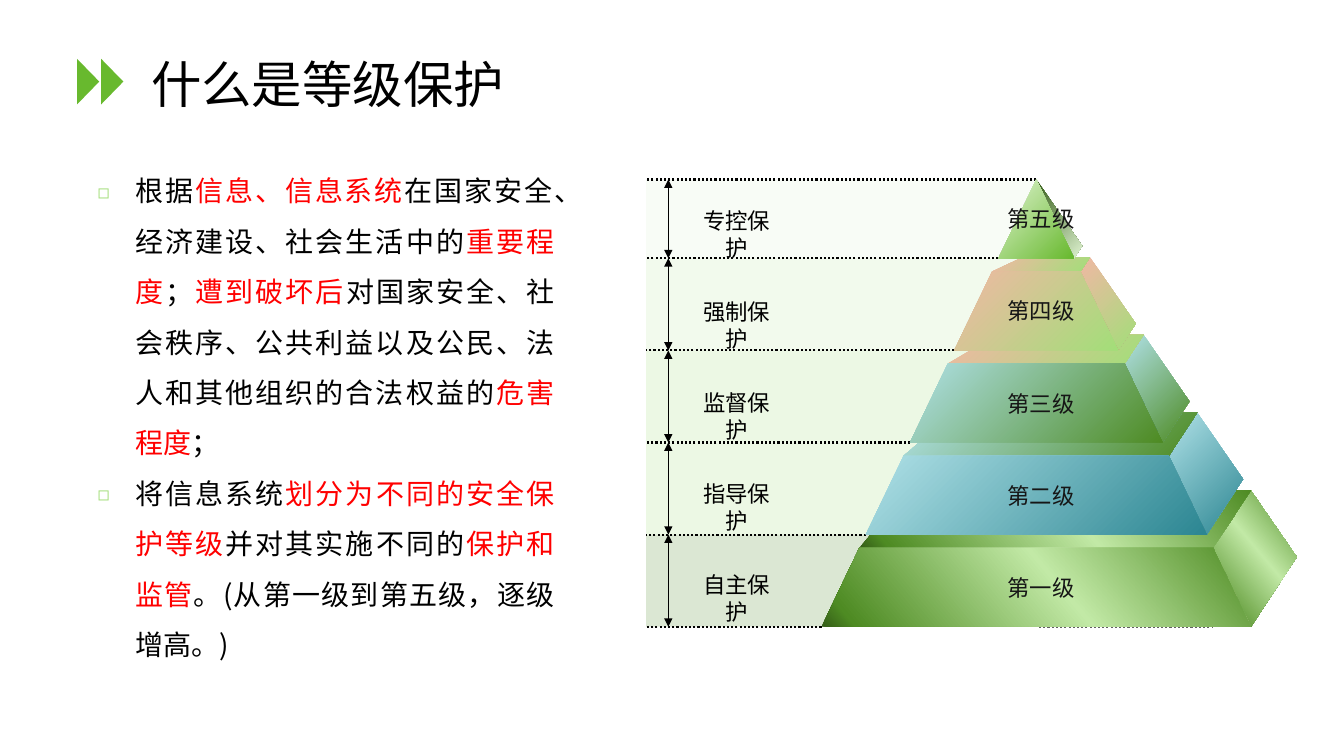
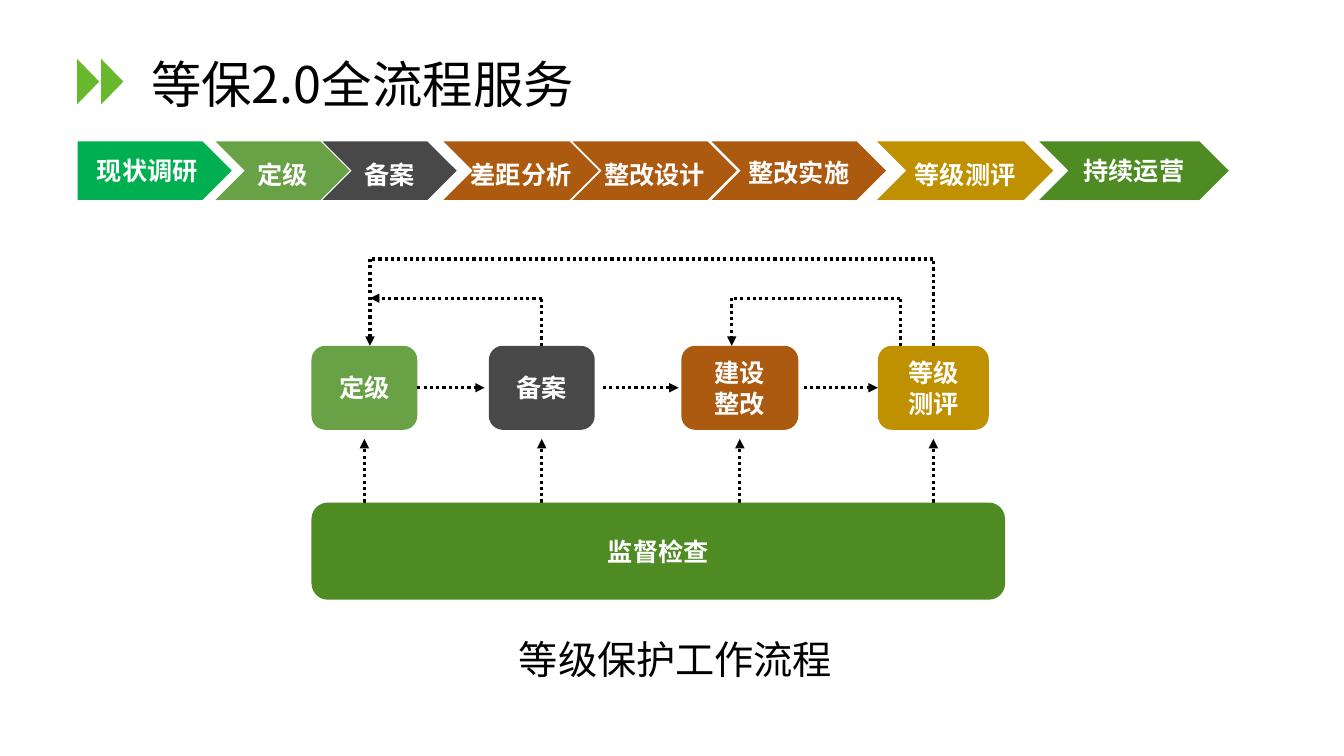
from dataclasses import dataclass
from itertools import pairwise

from lxml.etree import SubElement
from pptx import Presentation
from pptx.dml.color import RGBColor
from pptx.enum.dml import MSO_LINE
from pptx.enum.shapes import MSO_CONNECTOR, MSO_SHAPE
from pptx.enum.text import MSO_ANCHOR, PP_ALIGN
from pptx.oxml.ns import qn
from pptx.util import Pt


@dataclass(frozen=True)
class Theme:
    latin: str = "Arial"
    chinese: str = "Noto Sans CJK SC"
    black: str = "000000"
    white: str = "FFFFFF"
    ink: str = "161616"
    grey: str = "5F5F5F"
    red: str = "FF0000"
    accent: str = "68B92E"
    emerald: str = "00B050"
    leaf: str = "69A246"
    forest: str = "4E8B23"
    deep: str = "345C17"
    charcoal: str = "484848"
    brown: str = "AD5A11"
    gold: str = "BF9000"
    light: str = "A3DE79"
    pale: str = "C2E9A6"
    mist: str = "E0F4D2"
    sky: str = "B0E1E7"
    teal: str = "2C8692"
    peach: str = "F0B8A4"
    title_size: float = 36
    caption_size: float = 28
    body_size: float = 20
    step_size: float = 18
    label_size: float = 16


@dataclass(frozen=True)
class Box:
    left: float
    top: float
    width: float
    height: float

    def inside(self, left, top, width, height):
        return Box(self.left + left, self.top + top, width, height)

    def lengths(self):
        return Pt(self.left), Pt(self.top), Pt(self.width), Pt(self.height)


THEME = Theme()


def style_run(run, size, color, font=THEME.chinese, bold=False):
    run.font.size = Pt(size)
    run.font.bold = bold
    run.font.color.rgb = RGBColor.from_string(color)
    run.font.name = font
    SubElement(run._r.get_or_add_rPr(), qn("a:ea"), typeface=THEME.chinese)


def write(shape, text, size, color, font=THEME.chinese, bold=False,
          align=PP_ALIGN.CENTER, wrap=False, anchor=MSO_ANCHOR.MIDDLE):
    frame = shape.text_frame
    frame.text = text
    frame.word_wrap = wrap
    frame.vertical_anchor = anchor
    for paragraph in frame.paragraphs:
        paragraph.alignment = align
        for run in paragraph.runs:
            style_run(run, size, color, font, bold)
    return frame


def add_text(slide, box, text, size, color, **options):
    return write(slide.shapes.add_textbox(*box.lengths()), text, size, color, **options)


def add_block(slide, kind, box, color, alpha=None):
    shape = slide.shapes.add_shape(kind, *box.lengths())
    shape.shadow.inherit = False
    shape.line.fill.background()
    shape.fill.solid()
    shape.fill.fore_color.rgb = RGBColor.from_string(color)
    if alpha:
        color_element = shape._element.spPr.find(qn("a:solidFill"))[0]
        SubElement(color_element, qn("a:alpha"), val=str(alpha * 1000))
    return shape


def add_line(slide, start, end, width, color=THEME.black, dotted=True, arrows=()):
    """Draw a line; arrows lists the ends ("headEnd", "tailEnd") that carry a triangle."""
    line = slide.shapes.add_connector(
        MSO_CONNECTOR.STRAIGHT, *(Pt(value) for value in (*start, *end)))
    line.line.width = Pt(width)
    line.line.color.rgb = RGBColor.from_string(color)
    if dotted:
        line.line.dash_style = MSO_LINE.ROUND_DOT
    for arrow in arrows:
        SubElement(line.line._get_or_add_ln(), qn(f"a:{arrow}"), type="triangle")
    SubElement(line._element.spPr, qn("a:effectLst"))
    return line


def add_face(slide, points, stops, angle):
    """Draw a borderless polygon with a gradient; angle runs anticlockwise."""
    corners = [(Pt(x), Pt(y)) for x, y in points]
    builder = slide.shapes.build_freeform(*corners[0], scale=1.0)
    builder.add_line_segments(corners[1:], close=True)
    face = builder.convert_to_shape()
    face.shadow.inherit = False
    face.line.fill.background()
    face.fill.gradient()
    face.fill.gradient_angle = angle
    stop_list = face._element.spPr.find(qn("a:gradFill")).find(qn("a:gsLst"))
    for stop in list(stop_list):
        stop_list.remove(stop)
    for position, color in stops:
        stop = SubElement(stop_list, qn("a:gs"), pos=str(position * 1000))
        SubElement(stop, qn("a:srgbClr"), val=color)
    return face


def add_title(slide, text, font):
    for left in (55.2, 72.4):
        marker = add_block(slide, MSO_SHAPE.ISOSCELES_TRIANGLE,
                           Box(left - 8.4, 50.4, 32.4, 15.8), THEME.accent)
        marker.rotation = 90
    frame = add_text(slide, Box(100.8, 28.8, 792.7, 67), text, THEME.title_size,
                     THEME.black, font=font, align=PP_ALIGN.LEFT, wrap=True)
    frame.paragraphs[0].line_spacing = 0.9


def add_bullet(paragraph):
    properties = paragraph._p.get_or_add_pPr()
    properties.set("marL", str(Pt(27)))
    properties.set("indent", str(Pt(-27)))
    SubElement(SubElement(properties, qn("a:buClr")), qn("a:srgbClr"), val=THEME.light)
    SubElement(properties, qn("a:buSzPct"), val="70000")
    SubElement(properties, qn("a:buFont"), typeface=THEME.chinese)
    SubElement(properties, qn("a:buChar"), char="◻")


def add_body(slide, box, paragraphs):
    """Write bulleted paragraphs whose every second piece is emphasised."""
    frame = slide.shapes.add_textbox(*box.lengths()).text_frame
    frame.word_wrap = True
    for index, pieces in enumerate(paragraphs):
        paragraph = frame.add_paragraph() if index else frame.paragraphs[0]
        add_bullet(paragraph)
        paragraph.alignment = PP_ALIGN.JUSTIFY
        paragraph.line_spacing = 1.5
        for position, piece in enumerate(pieces):
            run = paragraph.add_run()
            run.text = piece
            style_run(run, THEME.body_size, THEME.red if position % 2 else THEME.black)


TIER_PITCH, TIER_HEIGHT = 65.8, 56.3
APEX_OFFSET = 278.7
FRONT_SLOPE, CORNER_SLOPE, BACK_DEPTH = 0.48, 0.69, 0.844


def add_scale(slide, box, bands):
    """Draw the shaded bands, dotted levels, double arrows and labels."""
    bottoms = [TIER_PITCH * index + TIER_HEIGHT for index in range(len(bands))]
    levels = [0, *bottoms]
    for (top, bottom), (_, color, width) in zip(pairwise(levels), bands):
        add_block(slide, MSO_SHAPE.RECTANGLE,
                  box.inside(0, top, width, bottom - top), color, alpha=20)
    for level in levels:
        y = box.top + level
        end = box.left + APEX_OFFSET - FRONT_SLOPE * level
        add_line(slide, (end, y), (box.left, y), 1.5)
    arrow_x = box.left + 15.9
    for top, bottom in pairwise(levels):
        add_line(slide, (arrow_x, box.top + top), (arrow_x, box.top + bottom), 0.75,
                 dotted=False, arrows=("headEnd", "tailEnd"))
    for index, (label, _, _) in enumerate(bands):
        add_text(slide, box.inside(28.1, 16 + 65 * index, 73.4, 26), label,
                 THEME.label_size, THEME.black, font=THEME.latin, wrap=True,
                 anchor=MSO_ANCHOR.TOP)


def add_pyramid(slide, box, tiers):
    """Stack the tiers from the base up, each with a side, a lid and a front."""
    apex = box.left + APEX_OFFSET

    def front(depth, side):
        return apex + side * FRONT_SLOPE * depth, box.top + depth

    def corner(depth):
        back = BACK_DEPTH * depth
        return apex + CORNER_SLOPE * back, box.top + back

    base = box.top + box.height
    add_line(slide, (apex + 2, base), (apex + 126, base), 1.5, THEME.grey)
    for index, (label, side, lid, face, lid_inset, angle) in reversed(list(enumerate(tiers))):
        top = TIER_PITCH * index
        bottom = top + TIER_HEIGHT
        add_face(slide, [front(bottom, 1), front(top, 1), corner(top), corner(bottom)],
                 side, angle)
        if lid:
            left_x, _ = front(top, -1)
            back_left = left_x + lid_inset, corner(top)[1]
            add_face(slide, [front(top, -1), front(top, 1), corner(top), back_left],
                     lid, angle)
        shape = add_face(slide, [front(top, -1), front(top, 1), front(bottom, 1),
                                 front(bottom, -1)], face, angle)
        frame = write(shape, label, THEME.label_size, THEME.ink, font=THEME.latin)
        frame.margin_left, frame.margin_right = Pt(7), Pt(0)


def add_steps(slide, box, steps):
    """Draw the row of arrow steps; drop lowers a step's text."""
    for index, (label, color, left, width, drop) in enumerate(steps):
        kind = MSO_SHAPE.CHEVRON if index else MSO_SHAPE.PENTAGON
        shape = add_block(slide, kind, box.inside(left, 0, width, box.height), color)
        frame = write(shape, label, THEME.step_size, THEME.white, bold=True)
        frame.margin_left = frame.margin_right = frame.margin_bottom = Pt(0)
        frame.margin_top = Pt(2 * drop)


def add_route(slide, points):
    """Draw a dotted path with an arrowhead at its end; return its segments."""
    last = len(points) - 2
    return [add_line(slide, start, end, 2.25, arrows=("tailEnd",) if index == last else ())
            for index, (start, end) in enumerate(pairwise(points))]


def add_workflow(slide, box, stages, supervision):
    node_top, node_height, bar_top = 62, 60, 174
    middle = box.top + node_top + node_height / 2
    roof = box.top + node_top
    nodes, centers = [], []
    for label, color, left, width in stages:
        node = add_block(slide, MSO_SHAPE.ROUNDED_RECTANGLE,
                         box.inside(left, node_top, width, node_height), color)
        write(node, label, THEME.step_size, THEME.white, bold=True)
        nodes.append(node)
        center = box.left + left + width / 2
        centers.append(center)
        add_route(slide, [(center, box.top + bar_top),
                          (center, roof + node_height + 6.5)])

    gaps = [(0, 3), (6, 2), (4, 0)]
    for index, (start_gap, end_gap) in enumerate(gaps):
        _, _, left, width = stages[index]
        start = box.left + left + width + start_gap
        end = box.left + stages[index + 1][2] - end_gap
        [link] = add_route(slide, [(start, middle), (end, middle)])
        if not start_gap:
            link.begin_connect(nodes[index], 3)
        if not end_gap:
            link.end_connect(nodes[index + 1], 1)

    grading_x, rework_x, retest_x = (box.left + x for x in (41.8, 300.2, 420.5))
    inner = box.top + 28
    outer_route = add_route(slide, [(centers[3], roof), (centers[3], box.top),
                                    (grading_x, box.top), (grading_x, roof)])
    outer_route[0].begin_connect(nodes[3], 0)
    filing_route = add_route(slide, [(centers[1], roof), (centers[1], inner),
                                     (grading_x, inner)])
    filing_route[0].begin_connect(nodes[1], 0)
    add_route(slide, [(retest_x, roof), (retest_x, inner),
                      (rework_x, inner), (rework_x, roof)])

    bar = add_block(slide, MSO_SHAPE.ROUNDED_RECTANGLE,
                    box.inside(0, bar_top, box.width, box.height - bar_top), THEME.forest)
    write(bar, supervision, THEME.step_size, THEME.white, bold=True)


def build_levels_slide(slide):
    add_title(slide, "什么是等级保护", THEME.latin)
    add_body(slide, Box(62.6, 108.7, 340.6, 370.8), [
        ["根据", "信息、信息系统", "在国家安全、经济建设、社会生活中的", "重要程度", "；",
         "遭到破坏后", "对国家安全、社会秩序、公共利益以及公民、法人和其他组织的合法权益的",
         "危害程度", "；"],
        ["将信息系统", "划分为不同的安全保护等级", "并对其实施不同的", "保护和监管",
         "。(从第一级到第五级，逐级增高。)"],
    ])
    diagram = Box(461.5, 128.2, 464, 319.5)
    add_scale(slide, diagram, [
        ("专控保护", THEME.mist, 278.7),
        ("强制保护", THEME.pale, 284.4),
        ("监督保护", THEME.light, 253.4),
        ("指导保护", THEME.light, 213.1),
        ("自主保护", THEME.forest, 167),
    ])
    peak_side = [(0, THEME.deep), (100, THEME.mist)]
    peak = [(0, THEME.mist), (100, THEME.accent)]
    orange = [(0, THEME.peach), (100, THEME.light)]
    green = [(0, THEME.sky), (100, THEME.forest)]
    blue = [(0, THEME.sky), (100, THEME.teal)]
    base = [(0, THEME.deep), (7, THEME.forest), (55, THEME.pale), (100, THEME.forest)]
    add_pyramid(slide, diagram, [
        ("第五级", peak_side, None, peak, 0, 315),
        ("第四级", orange, orange, orange, 22, 315),
        ("第三级", green, orange, green, 35, 315),
        ("第二级", blue, green, blue, 36, 315),
        ("第一级", base, base, base, 35, 40),
    ])


def build_process_slide(slide):
    add_title(slide, "等保2.0全流程服务", THEME.chinese)
    add_steps(slide, Box(55.4, 101, 822.2, 41.8), [
        ("现状调研", THEME.emerald, 0, 110.2, 0),
        ("定级", THEME.leaf, 98.6, 95.8, 3),
        ("备案", THEME.charcoal, 175, 95.8, 3),
        ("差距分析", THEME.brown, 261.4, 110.9, 3),
        ("整改设计", THEME.brown, 353.5, 117.4, 3),
        ("整改实施", THEME.brown, 452.9, 124.6, 1),
        ("等级测评", THEME.gold, 571, 126, 3),
        ("持续运营", THEME.forest, 686.9, 135.4, 0),
    ])
    add_workflow(slide, Box(222.5, 185, 495.4, 243.4), [
        ("定级", THEME.leaf, 0, 75.6),
        ("备案", THEME.charcoal, 126.7, 75.6),
        ("建设\n整改", THEME.brown, 264.2, 83.5),
        ("等级\n测评", THEME.gold, 404.6, 79.2),
    ], "监督检查")
    add_text(slide, Box(363.6, 450, 240.5, 41), "等级保护工作流程", THEME.caption_size,
             THEME.black, font=THEME.latin, align=PP_ALIGN.LEFT, anchor=MSO_ANCHOR.TOP)


def main():
    presentation = Presentation()
    presentation.slide_width, presentation.slide_height = Pt(960), Pt(540)
    blank = presentation.slide_layouts[6]
    for build in (build_levels_slide, build_process_slide):
        build(presentation.slides.add_slide(blank))
    presentation.save("out.pptx")


if __name__ == "__main__":
    main()
